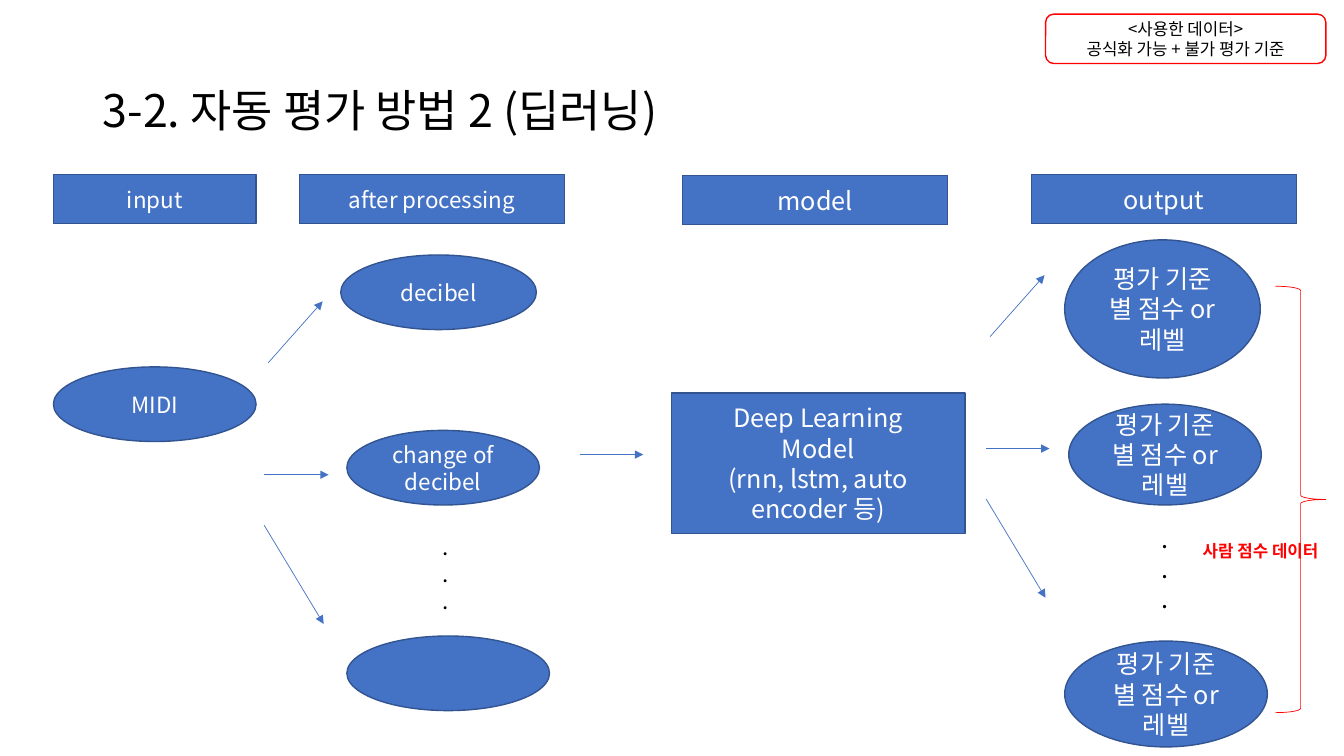
from lxml.etree import SubElement as Sub
from pptx import Presentation as Deck
from pptx.dml.color import RGBColor as Rgb
from pptx.enum.shapes import MSO_CONNECTOR as Conn, MSO_SHAPE as Kind
from pptx.enum.text import MSO_ANCHOR as Anchor, MSO_AUTO_SIZE as Fit, PP_ALIGN as Align
from pptx.oxml.ns import qn
from pptx.util import Inches as Inch, Pt

HUES = {"blue": "4472C4", "edge": "325491", "red": "FF0000",
        "black": "000000", "white": "FFFFFF"}


class Board:
    font = "Noto Sans CJK KR"

    def __init__(self, slide):
        self.slide = slide

    def hue(self, name):
        return Rgb.from_string(HUES[name])

    def fill_text(self, frame, lines, size, color, align, bold=False, space=None):
        for i, line in enumerate(lines):
            para = frame.paragraphs[0] if i == 0 else frame.add_paragraph()
            para.alignment = align
            if space:
                para.line_spacing = space
            run = para.add_run()
            run.text = line
            font = run.font
            font.name, font.size, font.bold = self.font, Pt(size), bold
            font.color.rgb = self.hue(color)
            Sub(run._r.get_or_add_rPr(), qn("a:ea"), typeface=self.font)

    def shape(self, kind, box, lines=(), size=16, fill="blue", edge="edge",
              width=1, color="white"):
        item = self.slide.shapes.add_shape(kind, *map(Inch, box))
        item.shadow.inherit = False
        if fill:
            item.fill.solid()
            item.fill.fore_color.rgb = self.hue(fill)
        else:
            item.fill.background()
        item.line.color.rgb = self.hue(edge)
        item.line.width = Pt(width)
        frame = item.text_frame
        frame.word_wrap = True
        frame.vertical_anchor = Anchor.MIDDLE
        self.fill_text(frame, lines, size, color, Align.CENTER)

    def text(self, box, lines, size, color="black", wrap=False,
             anchor=Anchor.TOP, fit=Fit.SHAPE_TO_FIT_TEXT, **look):
        frame = self.slide.shapes.add_textbox(*map(Inch, box)).text_frame
        frame.word_wrap = wrap
        frame.auto_size = fit
        frame.vertical_anchor = anchor
        self.fill_text(frame, lines, size, color, Align.LEFT, **look)

    def arrow(self, *ends):
        item = self.slide.shapes.add_connector(Conn.STRAIGHT, *map(Inch, ends))
        item.line.color.rgb = self.hue("blue")
        item.line.width = Pt(0.5)
        props = item._element.spPr
        Sub(props.find(qn("a:ln")), qn("a:tailEnd"), type="triangle")
        Sub(props, qn("a:effectLst"))

    def fan(self, left, top, gap):
        self.arrow(left + 0.04, top - 1.11, left + 0.58, top - 1.72)
        self.arrow(left, top, left + gap, top)
        self.arrow(left, top + 0.5, left + 0.59, top + 1.48)


def main():
    deck = Deck()
    deck.slide_width, deck.slide_height = Inch(13.33), Inch(7.5)
    board = Board(deck.slides.add_slide(deck.slide_layouts[6]))

    board.text((0.92, 0.4, 11.5, 1.45), ["3-2. 자동 평가 방법 2 (딥러닝)"], 32,
               wrap=True, anchor=Anchor.MIDDLE, fit=Fit.NONE, space=0.9)

    heads = [("input", 0.53, 1.73, 2.01, 16),
             ("after processing", 2.97, 1.73, 2.63, 16),
             ("model", 6.77, 1.74, 2.63, 18),
             ("output", 10.23, 1.73, 2.63, 18)]
    for word, left, top, width, size in heads:
        board.shape(Kind.RECTANGLE, (left, top, width, 0.49), [word], size)

    steps = [("MIDI", 0.53, 3.64, 2.01), ("decibel", 3.38, 2.53, 1.94),
             ("change of decibel", 3.44, 4.27, 1.91), ("", 3.44, 6.31, 2.01)]
    for word, left, top, width in steps:
        board.shape(Kind.OVAL, (left, top, width, 0.74), [word] if word else [])

    board.shape(Kind.RECTANGLE, (6.66, 3.9, 2.91, 1.39),
                ["Deep Learning", "Model", "(rnn, lstm, auto encoder 등)"], 18)

    for box in [(10.56, 2.38, 1.94, 1.37), (10.6, 4.01, 1.91, 1),
                (10.56, 6.36, 2.01, 1.05)]:
        board.shape(Kind.OVAL, box, ["평가 기준 별 점수 or 레벨"], 18)

    board.fan(2.62, 4.71, 0.64)
    board.arrow(5.75, 4.51, 6.38, 4.51)
    board.fan(9.78, 4.45, 0.63)

    board.text((4.29, 5.24, 0.26, 0.94), ["."] * 3, 16, wrap=True)
    board.text((11.42, 5.14, 0.26, 1.01), ["."] * 3, 18)

    board.shape(Kind.RIGHT_BRACE, (12.65, 2.84, 0.5, 4.23),
                fill=None, edge="red", width=0.5)
    board.shape(Kind.ROUNDED_RECTANGLE, (10.37, 0.14, 2.78, 0.49),
                ["<사용한 데이터>", "공식화 가능 + 불가 평가 기준"], 12,
                fill=None, edge="red", color="black")
    board.text((11.83, 5.32, 1.5, 0.3), ["사람 점수 데이터"], 12, "red", bold=True)

    deck.save("out.pptx")


if __name__ == "__main__":
    main()
